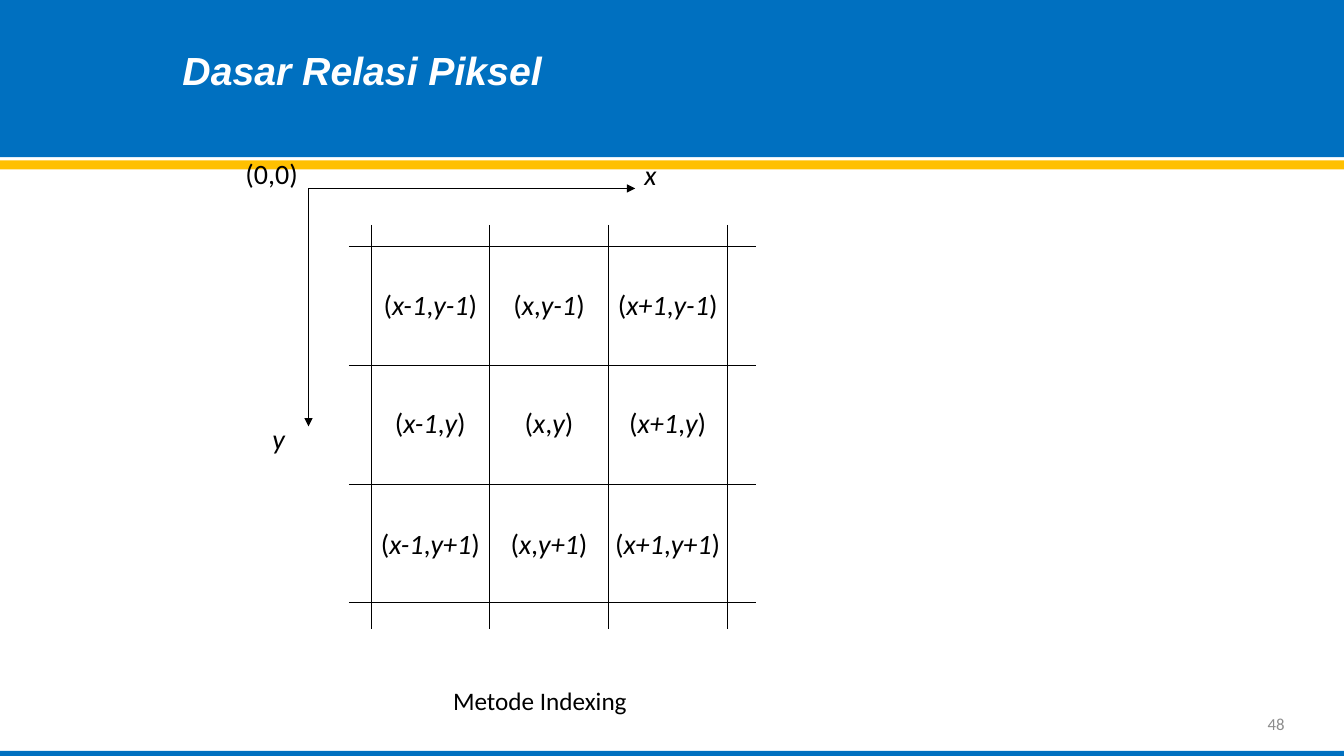
from lxml import etree
from pptx import Presentation
from pptx.dml.color import RGBColor
from pptx.enum.shapes import MSO_CONNECTOR, MSO_SHAPE
from pptx.enum.text import MSO_ANCHOR, MSO_AUTO_SIZE, PP_ALIGN
from pptx.oxml.ns import qn
from pptx.util import Inches, Pt

RECT = MSO_SHAPE.RECTANGLE
STRAIGHT = MSO_CONNECTOR.STRAIGHT
LEFT, CENTER, RIGHT = PP_ALIGN.LEFT, PP_ALIGN.CENTER, PP_ALIGN.RIGHT
TOP, MIDDLE = MSO_ANCHOR.TOP, MSO_ANCHOR.MIDDLE
NO_FIT = MSO_AUTO_SIZE.NONE
GROW = MSO_AUTO_SIZE.SHAPE_TO_FIT_TEXT

COLORS = {"blue": "0070C0", "gold": "FFC000", "white": "FFFFFF",
          "black": "000000", "gray": "8C8C8C"}
GRID_LEFT, GRID_TOP, CELL = 3.68, 2.45, 1.177
LABEL_TOPS = [2.8, 3.97, 5.17]
OFFSETS = ["-1", "", "+1"]
OFFSET_WIDTH = {"-1": 0.23, "": 0, "+1": 0.27}


def color(name):
    return RGBColor.from_string(COLORS[name])


def write(shape, runs, size=20, font="Calibri", fill="black", bold=False,
          align=CENTER, anchor=TOP, wrap=False, fit=GROW):
    tf = shape.text_frame
    tf.word_wrap = wrap
    tf.auto_size = fit
    tf.vertical_anchor = anchor
    p = tf.paragraphs[0]
    p.alignment = align
    for text, italic in runs:
        r = p.add_run()
        r.text = text
        r.font.size = Pt(size)
        r.font.name = font
        r.font.bold = bold
        r.font.italic = italic
        r.font.color.rgb = color(fill)


def label(shapes, box, runs, **fmt):
    tb = shapes.add_textbox(*map(Inches, box))
    write(tb, runs, **fmt)


def line(shapes, x1, y1, x2, y2, arrow=False):
    c = shapes.add_connector(STRAIGHT, *map(Inches, (x1, y1, x2, y2)))
    c.line.color.rgb = color("black")
    c.line.width = Pt(0.75)
    if arrow:
        etree.SubElement(c.line._get_or_add_ln(), qn("a:tailEnd"), type="triangle")
    etree.SubElement(c.element.spPr, qn("a:effectLst"))


def bar(s, top, height, fill):
    sp = s.shapes.add_shape(RECT, 0, Inches(top), Inches(13.33), Inches(height))
    sp.shadow.inherit = False
    sp.fill.solid()
    sp.fill.fore_color.rgb = color(fill)
    sp.line.fill.background()
    s.shapes.title.element.addprevious(sp.element)


def title(s, text):
    sp = s.shapes.title
    sp.left, sp.top, sp.width, sp.height = map(Inches, (1.71, 0.41, 3.81, 0.57))
    write(sp, [(text, True)], size=28, font="Arial", fill="white", bold=True,
          align=LEFT, fit=NO_FIT)


def axes(s):
    line(s.shapes, 3.06, 1.87, 6.3, 1.87, arrow=True)
    line(s.shapes, 3.06, 1.87, 3.06, 4.23, arrow=True)
    label(s.shapes, (6.29, 1.51, 0.32, 0.43), [("x", True)])
    label(s.shapes, (2.6, 4.13, 0.33, 0.44), [("y", True)])
    label(s.shapes, (2.33, 1.5, 0.73, 0.43), [("(0,0)", False)])


def pixel_grid(s):
    shapes = s.shapes.add_group_shape().shapes
    for i in range(4):
        x = GRID_LEFT + i * CELL
        line(shapes, x, 2.23, x, 6.24)
    for top, dy in zip(LABEL_TOPS, OFFSETS):
        for col, dx in enumerate(OFFSETS):
            width = 0.7 + OFFSET_WIDTH[dx] + OFFSET_WIDTH[dy]
            left = GRID_LEFT + (col + 0.5) * CELL - width / 2
            label(shapes, (left, top, width, 0.44),
                  [("(", False), ("x" + dx, True), (",", False),
                   ("y" + dy, True), (")", False)])
    for i in range(4):
        y = GRID_TOP + i * CELL
        line(shapes, 3.46, y, 7.5, y)


def main():
    prs = Presentation()
    prs.slide_width, prs.slide_height = Inches(13.33), Inches(7.5)
    s = prs.slides.add_slide(prs.slide_layouts[5])
    for top, height, fill in [(0, 1.56, "blue"), (1.59, 0.09, "gold"),
                              (7.45, 0.05, "blue")]:
        bar(s, top, height, fill)
    title(s, "Dasar Relasi Piksel")
    axes(s)
    label(s.shapes, (4.38, 6.75, 1.95, 0.4), [("Metode Indexing", False)], size=18)
    pixel_grid(s)
    label(s.shapes, (9.84, 6.98, 3, 0.4), [("48", False)], size=12, fill="gray",
          align=RIGHT, anchor=MIDDLE, wrap=True, fit=NO_FIT)
    prs.save("out.pptx")


if __name__ == "__main__":
    main()
